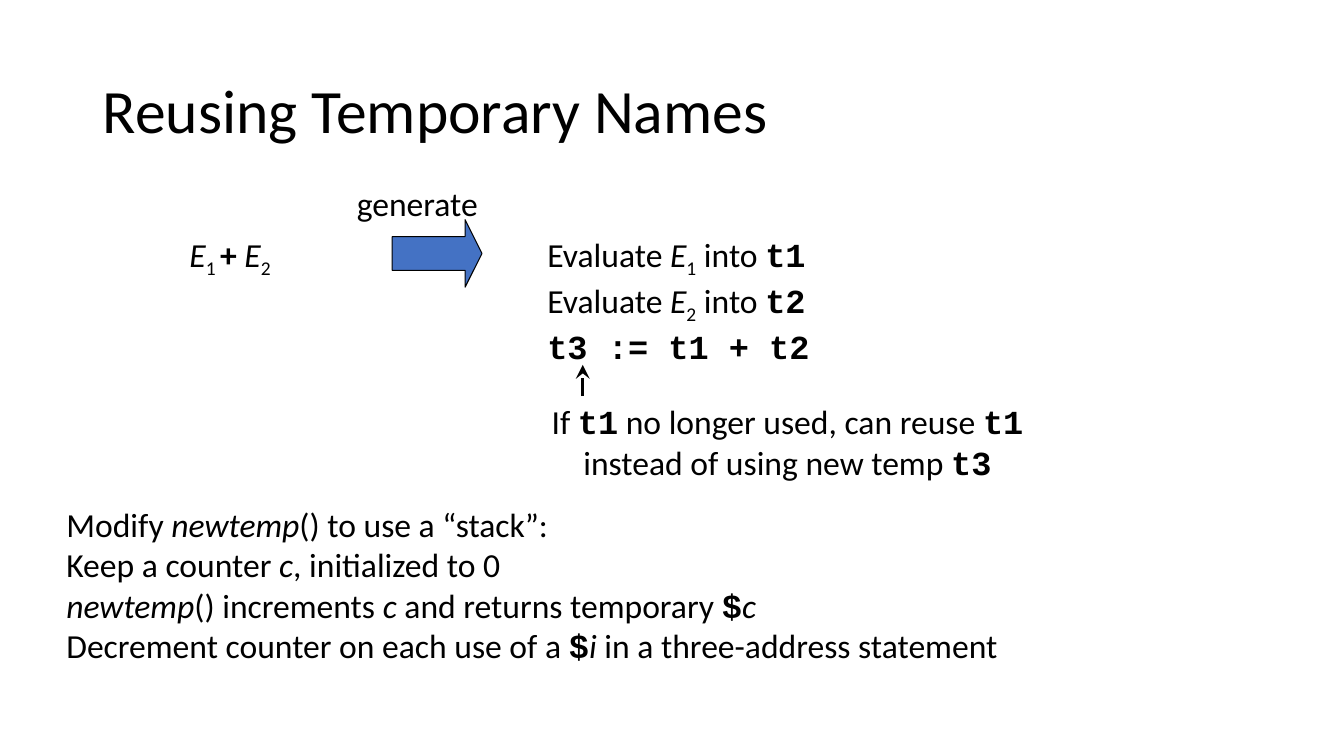
from dataclasses import dataclass

from lxml import etree
from pptx import Presentation
from pptx.dml.color import RGBColor
from pptx.enum.shapes import MSO_CONNECTOR, MSO_SHAPE
from pptx.enum.text import MSO_ANCHOR, MSO_AUTO_SIZE, PP_ALIGN
from pptx.oxml.ns import qn
from pptx.util import Inches, Pt

LEFT, CENTER = PP_ALIGN.LEFT, PP_ALIGN.CENTER
MIDDLE = MSO_ANCHOR.MIDDLE
FIT_SHAPE, NO_FIT = MSO_AUTO_SIZE.SHAPE_TO_FIT_TEXT, MSO_AUTO_SIZE.NONE
RIGHT_ARROW = MSO_SHAPE.RIGHT_ARROW
STRAIGHT = MSO_CONNECTOR.STRAIGHT
BODY_FONT, CODE_FONT = "Calibri", "Courier New"
BLACK, BLUE = "000000", "4472C4"
BODY_SIZE, TITLE_SIZE = 24, 44


@dataclass(frozen=True)
class Span:
    text: str
    font: str = BODY_FONT
    bold: bool = False
    italic: bool = False
    subscript: bool = False


@dataclass(frozen=True)
class TextBlock:
    left: float
    top: float
    width: float
    height: float
    paragraphs: list[list[Span]]
    align: PP_ALIGN = LEFT


def code(text: str) -> Span:
    return Span(text, font=CODE_FONT, bold=True)


def italic(text: str) -> Span:
    return Span(text, italic=True)


def subscript(text: str) -> Span:
    return Span(text, subscript=True)


BREAK = Span("\n")

BLOCKS = [
    TextBlock(5.33, 2.27, 2.88, 1.31, [
        [Span("Evaluate "), italic("E"), subscript("1"), Span(" into "), code("t1"), BREAK,
         Span("Evaluate "), italic("E"), subscript("2"), Span(" into "), code("t2")],
        [code("t3 := t1 + t2")],
    ]),
    TextBlock(1.78, 2.27, 1.08, 0.5, [
        [italic("E"), subscript("1 "), Span("+ ", bold=True), italic("E"), subscript("2")],
    ]),
    TextBlock(3.44, 1.77, 1.42, 0.5, [[Span("generate")]]),
    TextBlock(0.56, 4.95, 9.52, 1.72, [
        [Span("Modify "), italic("newtemp"), Span("() to use a “stack”:")],
        [Span("Keep a counter "), italic("c"), Span(", initialized to 0")],
        [italic("newtemp"), Span("() increments "), italic("c"),
         Span(" and returns temporary "), code("$"), italic("c"), BREAK,
         Span("Decrement counter on each use of a "), code("$"), italic("i"),
         Span(" in a three-address statement")],
    ]),
    TextBlock(5.35, 3.93, 4.92, 0.91, [
        [Span("If "), code("t1"), Span(" no longer used, can reuse "), code("t1"), BREAK,
         Span("instead of using new temp "), code("t3")],
    ], CENTER),
]


def color(value: str) -> RGBColor:
    return RGBColor.from_string(value)


def add_span(para, span: Span, size: float) -> None:
    if span == BREAK:
        para.add_line_break()
        return
    run = para.add_run()
    run.text = span.text
    font = run.font
    font.name, font.size = span.font, Pt(size)
    font.bold, font.italic = span.bold, span.italic
    font.color.rgb = color(BLACK)
    if span.subscript:
        run._r.get_or_add_rPr().set("baseline", "-25000")


def add_title(page, text: str) -> None:
    title = page.shapes.title
    title.left, title.top = Inches(0.92), Inches(0.4)
    title.width, title.height = Inches(11.5), Inches(1.45)
    frame = title.text_frame
    frame.vertical_anchor, frame.auto_size = MIDDLE, NO_FIT
    para = frame.paragraphs[0]
    para.alignment, para.line_spacing = LEFT, 0.9
    add_span(para, Span(text), TITLE_SIZE)


def add_text(page, block: TextBlock) -> None:
    box = page.shapes.add_textbox(Inches(block.left), Inches(block.top),
                                  Inches(block.width), Inches(block.height))
    frame = box.text_frame
    frame.word_wrap, frame.auto_size = False, FIT_SHAPE
    for index, spans in enumerate(block.paragraphs):
        para = frame.add_paragraph() if index else frame.paragraphs[0]
        para.alignment = block.align
        for span in spans:
            add_span(para, span, BODY_SIZE)


def add_generate_arrow(page) -> None:
    arrow = page.shapes.add_shape(RIGHT_ARROW, Inches(3.89), Inches(2.18),
                                  Inches(0.89), Inches(0.67))
    arrow.adjustments[0], arrow.adjustments[1] = 0.5, 0.25
    arrow.shadow.inherit = False
    arrow.fill.solid()
    arrow.fill.fore_color.rgb = color(BLUE)
    arrow.line.color.rgb = color(BLACK)
    arrow.line.width = Pt(0.75)


def add_reuse_pointer(page) -> None:
    """Point from the reuse note to just below the t3 statement."""
    pointer = page.shapes.add_connector(STRAIGHT, Inches(5.78), Inches(3.93),
                                        Inches(5.78), Inches(3.62))
    pointer.line.color.rgb = color(BLACK)
    pointer.line.width = Pt(2)
    properties = pointer._element.spPr
    etree.SubElement(properties.find(qn("a:ln")), qn("a:tailEnd"),
                     type="stealth", w="lg", len="lg")
    etree.SubElement(properties, qn("a:effectLst"))


def main() -> None:
    deck = Presentation()
    deck.slide_width, deck.slide_height = Inches(13.33), Inches(7.5)
    page = deck.slides.add_slide(deck.slide_layouts[5])
    add_title(page, "Reusing Temporary Names")
    add_generate_arrow(page)
    add_reuse_pointer(page)
    for block in BLOCKS:
        add_text(page, block)
    deck.save("out.pptx")


if __name__ == "__main__":
    main()
